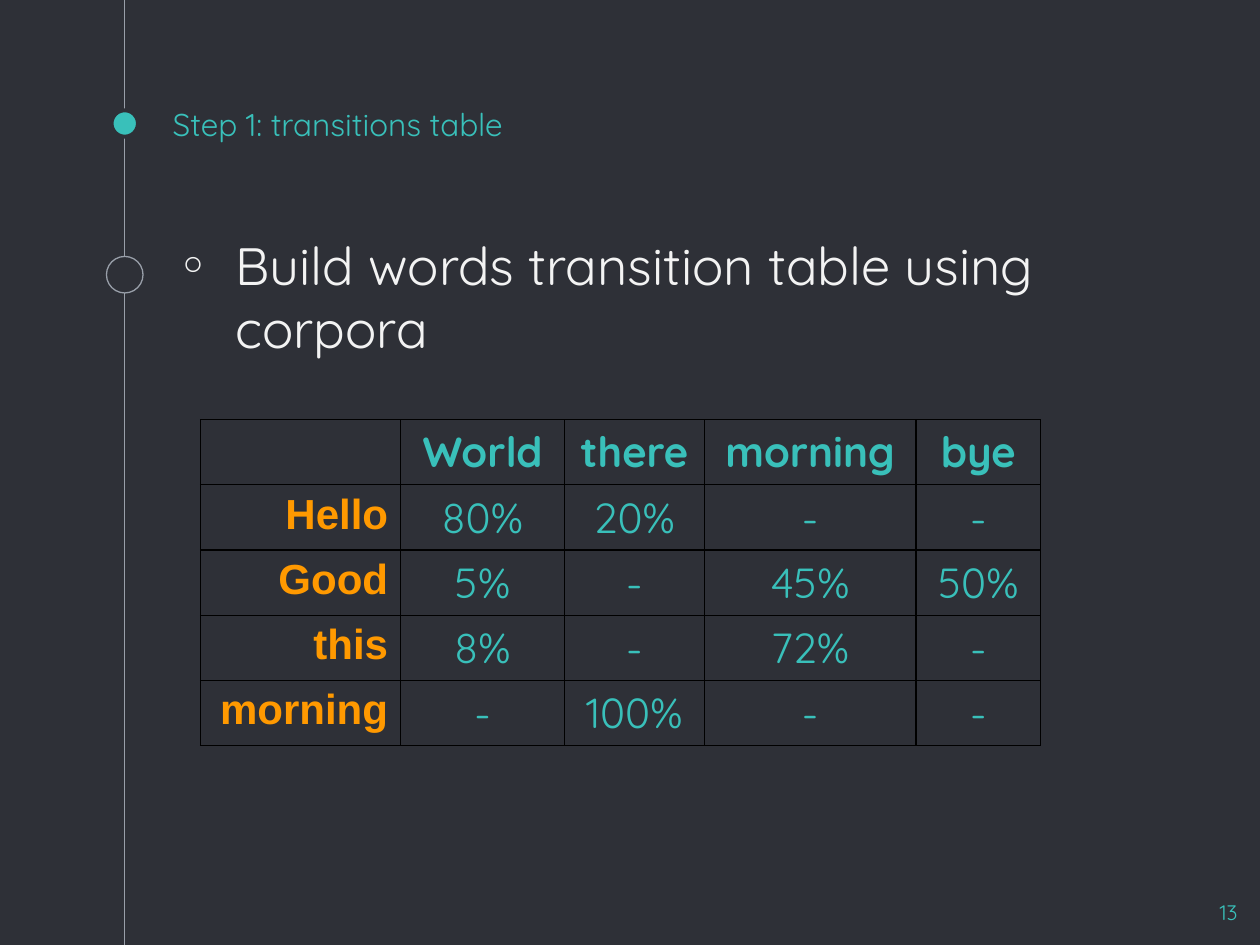
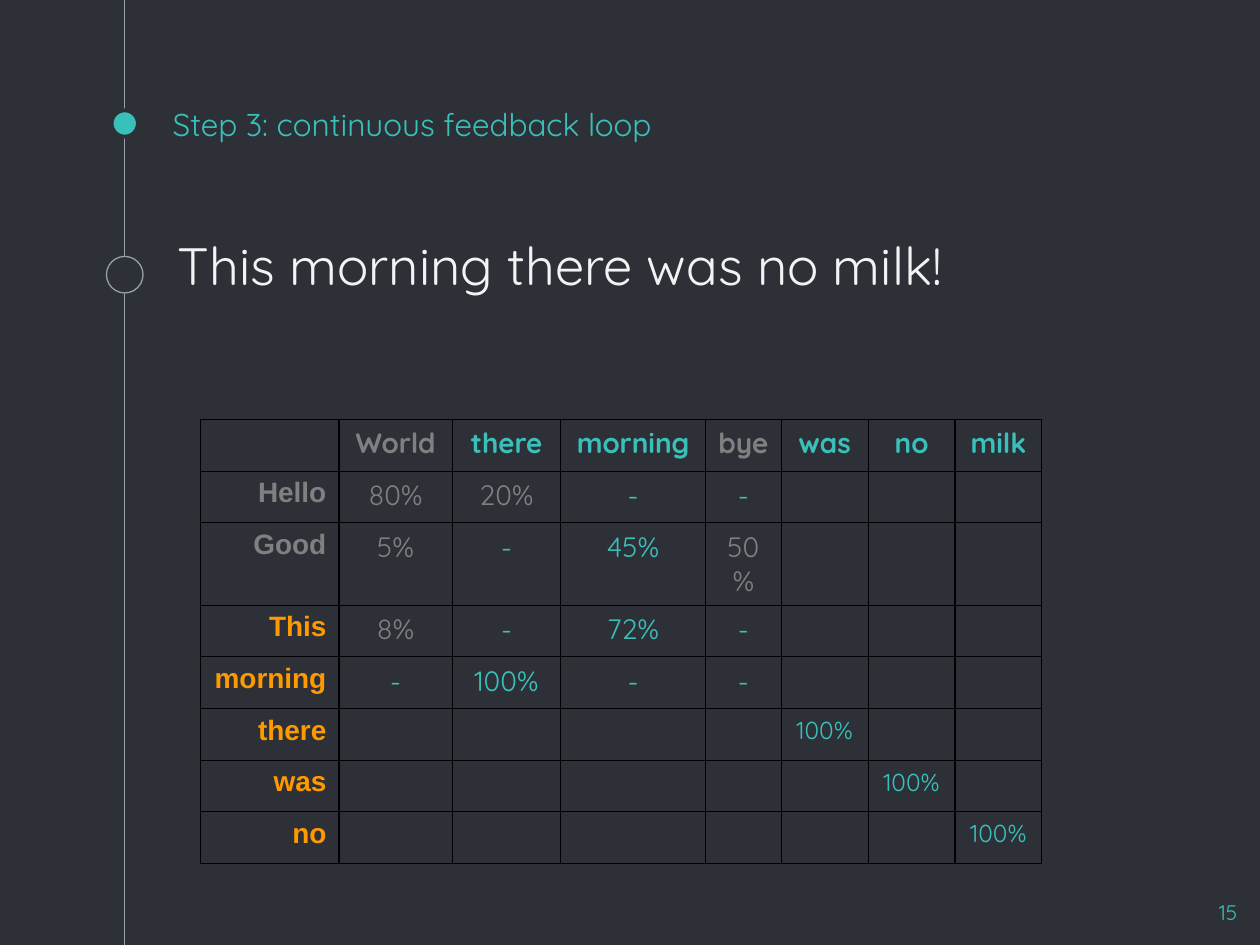
from lxml import etree
from pptx import Presentation
from pptx.dml.color import RGBColor
from pptx.enum.shapes import MSO_CONNECTOR, MSO_SHAPE
from pptx.enum.text import MSO_ANCHOR, MSO_AUTO_SIZE, PP_ALIGN
from pptx.oxml.ns import qn
from pptx.util import Inches, Pt

LEFT, CENTER, RIGHT = PP_ALIGN.LEFT, PP_ALIGN.CENTER, PP_ALIGN.RIGHT
TOP, BOTTOM = MSO_ANCHOR.TOP, MSO_ANCHOR.BOTTOM
NO_FIT = MSO_AUTO_SIZE.NONE
OVAL = MSO_SHAPE.OVAL
STRAIGHT = MSO_CONNECTOR.STRAIGHT

DARK = RGBColor(0x2E, 0x30, 0x37)
TEAL = RGBColor(0x39, 0xC0, 0xBA)
STEEL = RGBColor(0x99, 0x9F, 0xA9)
PALE = RGBColor(0xF3, 0xF3, 0xF3)
AMBER = RGBColor(0xFF, 0x99, 0x00)
GREY = RGBColor(0x80, 0x80, 0x80)
BLACK = RGBColor(0x00, 0x00, 0x00)

FONT, ROW_FONT = "Quicksand", "Arial"
RAIL_X = 0.99
ROW_H = 0.41

WORDS = [
    ["", "World", "there", "morning", "bye"],
    ["Hello", "80%", "20%", "-", "-"],
    ["Good", "5%", "-", "45%", "50%"],
    ["this", "8%", "-", "72%", "-"],
    ["morning", "-", "100%", "-", "-"],
]
LOOP = [
    ["", "World", "there", "morning", "bye", "was", "no", "milk"],
    ["Hello", "80%", "20%", "-", "-", "", "", ""],
    ["Good", "5%", "-", "45%", "50%", "", "", ""],
    ["This", "8%", "-", "72%", "-", "", "", ""],
    ["morning", "-", "100%", "-", "-", "", "", ""],
    ["there", "", "", "", "", "100%", "", ""],
    ["was", "", "", "", "", "", "100%", ""],
    ["no", "", "", "", "", "", "", "100%"],
]
# Entries of the second table that the sentence does not use
UNUSED = {"World", "bye", "Hello", "Good", "80%", "20%", "5%", "8%", "50%"}


def put_text(frame, text, size=18, color=TEAL, font=FONT, bold=False,
             align=LEFT, before=0):
    para = frame.paragraphs[0]
    para.alignment = align
    para.space_before = Pt(before)
    run = para.add_run()
    run.text = text
    run.font.size = Pt(size)
    run.font.name = font
    run.font.bold = bold
    run.font.color.rgb = color
    return para


def set_frame(shape, left, top, width, height, anchor=TOP):
    """Place a text shape and give it the shared insets."""
    shape.left, shape.top = Inches(left), Inches(top)
    shape.width, shape.height = Inches(width), Inches(height)
    frame = shape.text_frame
    frame.word_wrap = True
    frame.auto_size = NO_FIT
    frame.vertical_anchor = anchor
    frame.margin_left = frame.margin_right = Inches(0.1)
    frame.margin_top = frame.margin_bottom = Inches(0.1)
    return frame


def add_dot(slide, mid, size, fill, line, weight):
    """Draw a circle centred on the rail at height mid."""
    dot = slide.shapes.add_shape(
        OVAL, Inches(RAIL_X - size / 2), Inches(mid - size / 2),
        Inches(size), Inches(size))
    dot.shadow.inherit = False
    dot.fill.solid()
    dot.fill.fore_color.rgb = fill
    dot.line.color.rgb = line
    dot.line.width = Pt(weight)


def add_rail(slide):
    rail = slide.shapes.add_connector(
        STRAIGHT, Inches(RAIL_X), Inches(0), Inches(RAIL_X), Inches(7.5))
    rail.line.color.rgb = STEEL
    rail.line.width = Pt(0.75)
    etree.SubElement(rail._element.spPr, qn("a:effectLst"))
    add_dot(slide, 0.98, 0.21, TEAL, DARK, 2.25)
    add_dot(slide, 2.18, 0.29, DARK, STEEL, 0.75)


def add_color(parent, color):
    fill = etree.SubElement(parent, qn("a:solidFill"))
    etree.SubElement(fill, qn("a:srgbClr"), val=str(color))


def set_bullet(para, mark, margin, indent):
    props = para._p.get_or_add_pPr()
    props.set("marL", str(Inches(margin)))
    props.set("indent", str(Inches(indent)))
    if not mark:
        etree.SubElement(props, qn("a:buNone"))
        return
    tint = etree.SubElement(props, qn("a:buClr"))
    etree.SubElement(tint, qn("a:srgbClr"), val=str(PALE))
    etree.SubElement(props, qn("a:buFont"), typeface=FONT)
    etree.SubElement(props, qn("a:buChar"), char=mark)


def set_border(cell):
    props = cell._tc.get_or_add_tcPr()
    for side in ("lnL", "lnR", "lnT", "lnB"):
        edge = etree.SubElement(props, qn("a:" + side), w=str(Pt(0.75)))
        add_color(edge, BLACK)


def add_grid(slide, rows, widths, size, muted=()):
    """Add a transition table; entries in muted are greyed out."""
    shape = slide.shapes.add_table(
        len(rows), len(widths), Inches(1.59), Inches(3.33),
        Inches(sum(widths)), Inches(ROW_H * len(rows)))
    table = shape.table
    table.first_row = table.horz_banding = False
    for col, width in zip(table.columns, widths):
        col.width = Inches(width)
    for r, row in enumerate(rows):
        table.rows[r].height = Inches(ROW_H)
        for c, text in enumerate(row):
            cell = table.cell(r, c)
            set_border(cell)
            cell.fill.background()
            if not text:
                continue
            head = c == 0
            color = GREY if text in muted else AMBER if head else TEAL
            small = r > 4 and not head
            put_text(cell.text_frame, text, size=14 if small else size,
                     color=color, font=ROW_FONT if head else FONT,
                     bold=head or r == 0, align=RIGHT if head else CENTER)


def add_step(deck, title, body, number, mark=None, margin=0.04, indent=0):
    """Add a slide with the rail, title, body line and page number."""
    slide = deck.slides.add_slide(deck.slide_layouts[1])
    add_rail(slide)
    frame = set_frame(slide.shapes.title, 1.27, 0.73, 7.5, 0.5, BOTTOM)
    put_text(frame, title)
    frame = set_frame(slide.placeholders[1], 1.27, 1.75, 7.5, 5.43)
    para = put_text(frame, body, size=30, color=PALE, before=6)
    set_bullet(para, mark, margin, indent)
    page = slide.shapes.add_textbox(0, 0, 0, 0)
    frame = set_frame(page, 9.32, 7.04, 0.6, 0.46)
    put_text(frame, number, size=12, align=RIGHT)
    return slide


def main():
    deck = Presentation()
    deck.slide_width, deck.slide_height = Inches(10), Inches(7.5)
    back = deck.slide_master.background.fill
    back.solid()
    back.fore_color.rgb = DARK

    slide = add_step(deck, "Step 1: transitions table",
                     "Build words transition table using corpora", "13",
                     mark="◦", margin=0.5, indent=-0.46)
    add_grid(slide, WORDS, [1.59, 1.3, 1.11, 1.68, 0.99], 24)

    slide = add_step(deck, "Step 3: continuous feedback loop",
                     "This morning there was no milk!", "15")
    add_grid(slide, LOOP, [1.1, 0.9, 0.86, 1.15, 0.6] + [0.69] * 3, 16,
             muted=UNUSED)
    deck.save("out.pptx")


if __name__ == "__main__":
    main()
